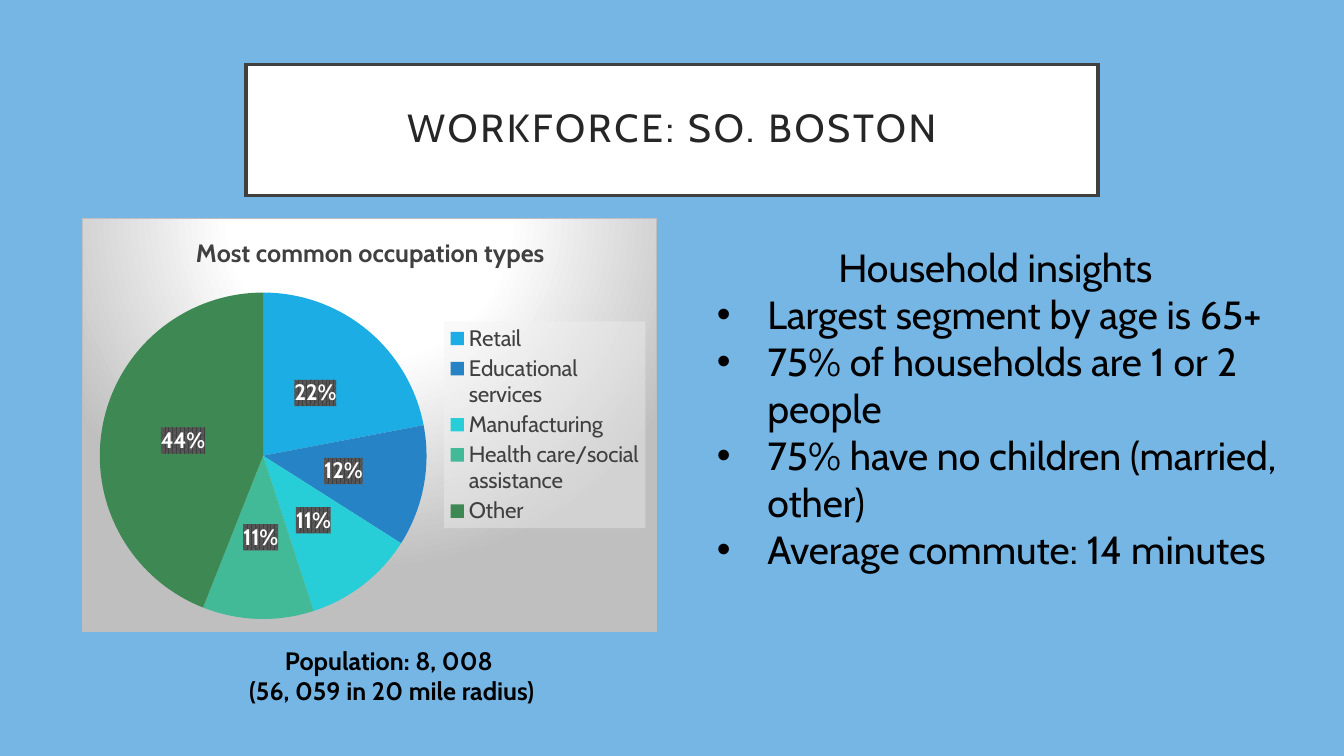
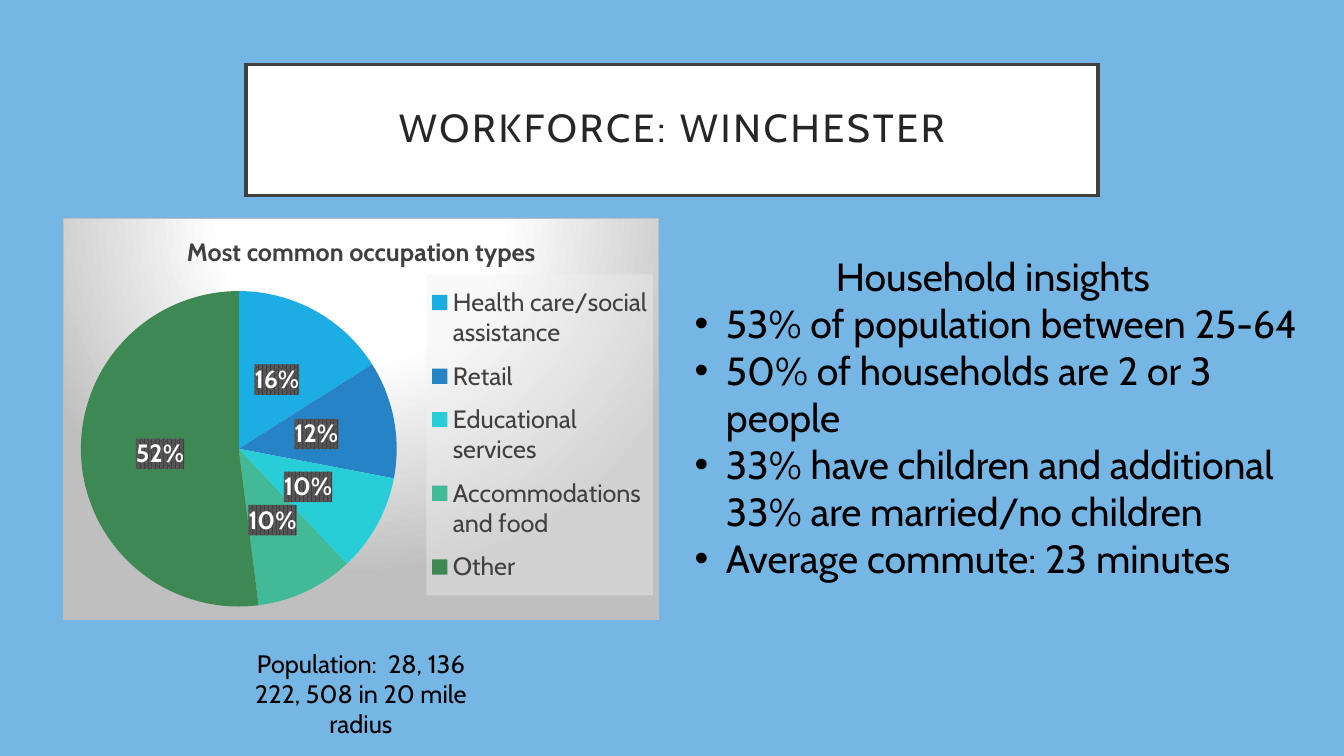
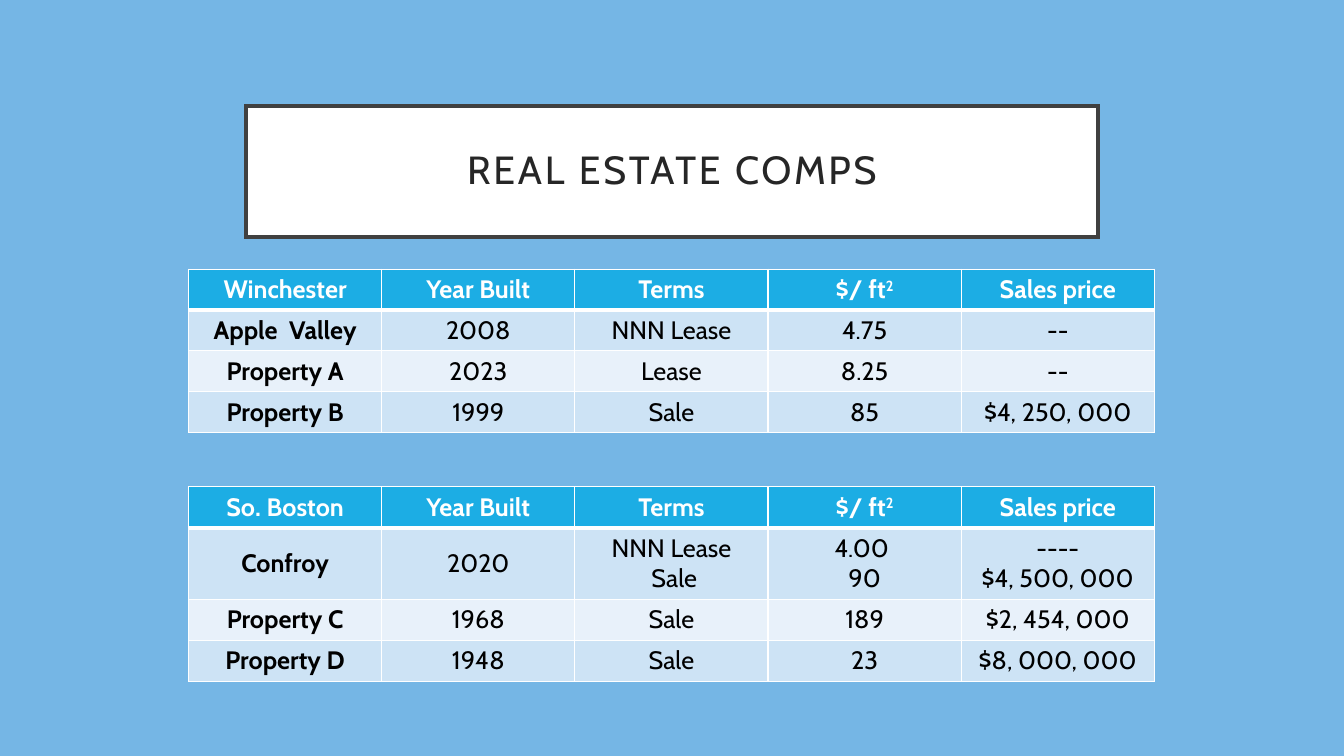
from dataclasses import dataclass

from pptx import Presentation
from pptx import util as u
from pptx.chart import data as chart_data
from pptx.dml.color import RGBColor
from pptx.enum import chart as ch, text as tx
from pptx.oxml import parse_xml
from pptx.oxml.ns import nsdecls, qn


@dataclass(frozen=True)
class Theme:
    font: str = "Cabin"
    sky: str = "75B6E5"
    white: str = "FFFFFF"
    black: str = "000000"
    title_ink: str = "262626"
    frame: str = "404040"
    silver: str = "BFBFBF"
    legend_fill: str = "F2F2F2"
    label_fill: str = "595959"
    header: str = "1CADE4"
    bands: tuple = ("CDE3F5", "E8F1FA")
    slices: tuple = ("1CADE4", "2683C6", "27CED7", "42BA97", "3E8853")
    heading_size: int = 28
    text_size: int = 18
    chart_size: int = 10


THEME = Theme()
TITLE_ONLY, TITLE_AND_BODY = 5, 1
COLUMNS = ["Year Built", "Terms", "$/ ft^2", "Sales price"]


def rgb(code):
    return RGBColor.from_string(code)


def move(shape, box):
    shape.left, shape.top, shape.width, shape.height = map(u.Inches, box)


def style_font(font, size, color=THEME.black, bold=False):
    font.name, font.size, font.bold = THEME.font, u.Pt(size), bold
    font.color.rgb = rgb(color)


def add_span(para, words, size, color=THEME.black, bold=False):
    span = para.add_run()
    span.text = words
    style_font(span.font, size, color, bold)
    return span


def paragraphs(frame, lines):
    """Yield one paragraph of the frame for each line."""
    for index, line in enumerate(lines):
        yield (frame.add_paragraph() if index else frame.paragraphs[0]), line


def add_page(deck, layout, heading, title_top):
    page = deck.slides.add_slide(deck.slide_layouts[layout])
    title = page.shapes.title
    move(title, (2.44, title_top, 8.45, 1.3))
    title.fill.solid()
    title.fill.fore_color.rgb = rgb(THEME.white)
    title.line.color.rgb = rgb(THEME.frame)
    title.line.width = u.Pt(2.5)
    title.element.spPr.find(qn("a:ln")).append(
        parse_xml(f'<a:miter {nsdecls("a")} lim="800000"/>'))
    frame = title.text_frame
    frame.auto_size = tx.MSO_AUTO_SIZE.NONE
    frame.vertical_anchor = tx.MSO_ANCHOR.MIDDLE
    frame.margin_left = frame.margin_right = u.Inches(0.2)
    frame.margin_top = frame.margin_bottom = u.Inches(0.2)
    para = frame.paragraphs[0]
    para.alignment = tx.PP_ALIGN.CENTER
    para.line_spacing = 0.9
    span = add_span(para, heading, THEME.heading_size, THEME.title_ink)
    span.font._element.set("spc", "200")
    return page


def fill_insights(page, box, indent, points):
    body = page.placeholders[1]
    move(body, box)
    frame = body.text_frame
    frame.auto_size = tx.MSO_AUTO_SIZE.NONE
    for para, line in paragraphs(frame, ["Household insights ", *points]):
        is_point = line in points
        hang = u.Inches(indent) if is_point else 0
        props = para._p.get_or_add_pPr()
        props.set("marL", str(hang))
        props.set("indent", str(-hang))
        bullet = '<a:buChar %s char="•"/>' if is_point else "<a:buNone %s/>"
        props.append(parse_xml(bullet % nsdecls("a")))
        para.space_before = u.Pt(0)
        para.alignment = tx.PP_ALIGN.LEFT if is_point else tx.PP_ALIGN.CENTER
        add_span(para, line, THEME.heading_size)


def add_caption(page, box, lines, bold):
    frame = page.shapes.add_textbox(*map(u.Inches, box)).text_frame
    frame.word_wrap = True
    for para, line in paragraphs(frame, lines):
        para.alignment = tx.PP_ALIGN.CENTER
        add_span(para, line, THEME.text_size, bold=bold)


def chart_fill(inner):
    return parse_xml(f'<c:spPr {nsdecls("c", "a")}>{inner}</c:spPr>')


def set_layout(part, index, fractions, inner=False):
    """Place a chart part by fractions (x, y and perhaps w, h) of the chart."""
    for old in part.findall(qn("c:layout")):
        part.remove(old)
    target = '<c:layoutTarget val="inner"/>' if inner else ""
    modes = "".join(f'<c:{n}Mode val="edge"/>' for n in "xy")
    values = "".join(f'<c:{n} val="{v}"/>' for n, v in zip("xywh", fractions))
    part.insert(index, parse_xml(
        f'<c:layout {nsdecls("c")}><c:manualLayout>{target}{modes}{values}'
        "</c:manualLayout></c:layout>"))


def paint_chart_area(space):
    stops = ((0, THEME.white), (39, THEME.white), (100, THEME.silver))
    gradient = "".join(
        f'<a:gs pos="{at * 1000}"><a:srgbClr val="{color}"/></a:gs>' for at, color in stops)
    space.find(qn("c:txPr")).addprevious(chart_fill(
        f'<a:gradFill><a:gsLst>{gradient}</a:gsLst><a:path path="circle">'
        '<a:fillToRect l="50000" t="-80000" r="50000" b="180000"/></a:path></a:gradFill>'
        f'<a:ln w="9525"><a:solidFill><a:srgbClr val="{THEME.silver}"/></a:solidFill></a:ln>'))
    space.find(qn("c:chart")).addprevious(
        parse_xml(f'<c:roundedCorners {nsdecls("c")} val="0"/>'))


def add_occupation_pie(page, box, shares, size, title_at, plot_box, legend_box):
    source = chart_data.CategoryChartData(number_format="General")
    source.categories = list(shares)
    source.add_series("Series 1", list(shares.values()))
    chart = page.shapes.add_chart(
        ch.XL_CHART_TYPE.PIE, *map(u.Inches, box), source).chart
    style_font(chart.font, THEME.chart_size)
    space = chart.element
    paint_chart_area(space)

    chart.has_title = True
    add_span(chart.chart_title.text_frame.paragraphs[0],
             "Most common occupation types", THEME.text_size, THEME.frame, True)
    set_layout(space.find(".//" + qn("c:title")), 1, title_at)

    chart.has_legend = True
    chart.legend.position = ch.XL_LEGEND_POSITION.RIGHT
    chart.legend.include_in_layout = False
    style_font(chart.legend.font, size, THEME.frame)
    legend = space.find(".//" + qn("c:legend"))
    set_layout(legend, 1, legend_box)
    legend.find(qn("c:txPr")).addprevious(chart_fill(
        f'<a:solidFill><a:srgbClr val="{THEME.legend_fill}">'
        '<a:alpha val="39000"/></a:srgbClr></a:solidFill>'))

    set_layout(space.find(".//" + qn("c:plotArea")), 0, plot_box, inner=True)
    plot = chart.plots[0]
    plot.vary_by_categories = True
    for index, color in enumerate(THEME.slices):
        piece = plot.series[0].points[index].format
        piece.fill.solid()
        piece.fill.fore_color.rgb = rgb(color)
        piece.line.fill.background()

    labels = plot.series[0].data_labels
    labels.show_percentage, labels.show_value = True, False
    labels.number_format, labels.number_format_is_linked = "0%", False
    labels.position = ch.XL_LABEL_POSITION.CENTER
    style_font(labels.font, size, THEME.white, True)
    labels.font._element.getparent().getparent().getparent().addprevious(chart_fill(
        f'<a:pattFill prst="pct75"><a:fgClr><a:srgbClr val="{THEME.frame}"/></a:fgClr>'
        f'<a:bgClr><a:srgbClr val="{THEME.label_fill}"/></a:bgClr></a:pattFill>'))


def set_borders(cell, top, bottom):
    props = cell._tc.get_or_add_tcPr()
    for side, width in (("L", 1), ("R", 1), ("T", top), ("B", bottom)):
        props.append(parse_xml(
            f'<a:ln{side} {nsdecls("a")} w="{u.Pt(width)}"><a:solidFill>'
            f'<a:srgbClr val="{THEME.white}"/></a:solidFill></a:ln{side}>'))


def fill_cell(cell, words, row, column):
    """Write a cell; a line break starts a paragraph, ^ a superscript."""
    header = row == 0
    set_borders(cell, top=3 if row == 1 else 1, bottom=3 if header else 1)
    cell.fill.solid()
    cell.fill.fore_color.rgb = rgb(THEME.header if header else THEME.bands[(row - 1) % 2])
    cell.vertical_anchor = tx.MSO_ANCHOR.MIDDLE
    look = (THEME.text_size, THEME.white if header else THEME.black, header or column == 0)
    for para, line in paragraphs(cell.text_frame, words.split("\n")):
        para.alignment = tx.PP_ALIGN.CENTER
        base, _, raised = line.partition("^")
        add_span(para, base, *look)
        if raised:
            add_span(para, raised, *look).font._element.set("baseline", "30000")


def add_comps_table(page, left, top, width, town, properties):
    rows = [[town, *COLUMNS], *properties]
    heights = [0.7 if any("\n" in words for words in row) else 0.4 for row in rows]
    table = page.shapes.add_table(
        len(rows), len(rows[0]), *map(u.Inches, (left, top, width, sum(heights)))).table
    table.horz_banding = False
    for r, (row, height) in enumerate(zip(rows, heights)):
        table.rows[r].height = u.Inches(height)
        for c, words in enumerate(row):
            fill_cell(table.cell(r, c), words, r, c)


def build_south_boston(deck):
    page = add_page(deck, TITLE_AND_BODY, "WORKFORCE: SO. BOSTON", 0.64)
    add_occupation_pie(
        page, (0.81, 2.16, 5.71, 4.11),
        {"Retail": 22, "Educational services": 12, "Manufacturing": 11,
         "Health care/social assistance": 11, "Other": 44},
        16, (0.19, 0.03), (0.03, 0.18, 0.57, 0.79), (0.63, 0.25, 0.35, 0.5))
    fill_insights(page, (7.01, 2.36, 5.81, 3.7), 0.5, [
        "Largest segment by age is 65+",
        "75% of households are 1 or 2 people",
        "75% have no children (married, other)",
        "Average commute: 14 minutes"])
    add_caption(page, (2.22, 6.35, 3.33, 0.71),
                ["Population: 8, 008 ", "(56, 059 in 20 mile radius)"], bold=True)


def build_winchester(deck):
    page = add_page(deck, TITLE_AND_BODY, "WORKFORCE: WINCHESTER", 0.64)
    add_occupation_pie(
        page, (0.62, 2.16, 5.92, 3.99),
        {"Health care/social assistance": 16, "Retail": 12, "Educational services": 10,
         "Accommodations and food": 10, "Other": 52},
        18, (0.2, 0.03), (0.03, 0.18, 0.53, 0.79), (0.61, 0.14, 0.38, 0.8))
    fill_insights(page, (6.79, 2.45, 6.2, 3.7), 0.31, [
        "53% of population between 25-64",
        "50% of households are 2 or 3 people",
        "33% have children and additional 33% are married/no children",
        "Average commute: 23 minutes"])
    add_caption(page, (2.17, 6.38, 2.82, 0.71),
                ["Population:  28, 136", "222, 508 in 20 mile radius"], bold=False)


def build_comps(deck):
    page = add_page(deck, TITLE_ONLY, "REAL ESTATE COMPS", 1.05)
    add_comps_table(page, 1.87, 2.67, 9.58, "Winchester", [
        ["Apple  Valley", "2008", "NNN Lease", "4.75", "--"],
        ["Property A", "2023", "Lease", "8.25", "--"],
        ["Property B", "1999", "Sale", "85", "$4, 250, 000"]])
    add_comps_table(page, 1.87, 4.83, 9.58, "So. Boston", [
        ["Confroy", "2020", "NNN Lease\n Sale", "4.00 \n90", "----\n$4, 500, 000"],
        ["Property C", "1968", "Sale", "189", "$2, 454, 000"],
        ["Property D", "1948", "Sale", "23", "$8, 000, 000"]])


def main():
    deck = Presentation()
    deck.slide_width, deck.slide_height = u.Inches(13.33), u.Inches(7.5)
    backdrop = deck.slide_master.background.fill
    backdrop.solid()
    backdrop.fore_color.rgb = rgb(THEME.sky)
    build_south_boston(deck)
    build_winchester(deck)
    build_comps(deck)
    deck.save("out.pptx")


if __name__ == "__main__":
    main()
